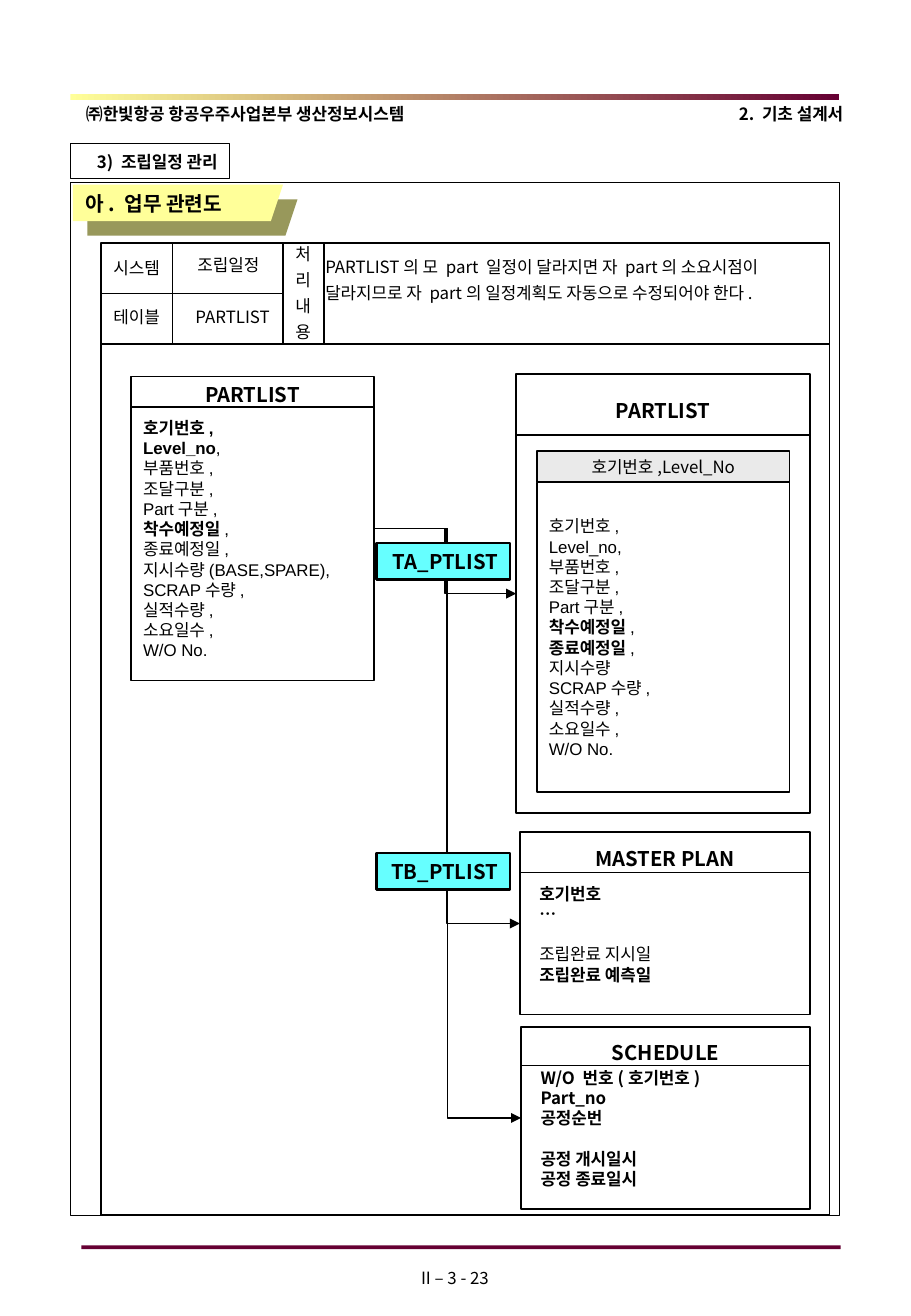
from lxml.etree import SubElement
from pptx import Presentation
from pptx.dml.color import RGBColor
from pptx.enum.shapes import MSO_CONNECTOR, MSO_SHAPE
from pptx.enum.text import MSO_ANCHOR, MSO_AUTO_SIZE, PP_ALIGN
from pptx.oxml.ns import qn
from pptx.util import Inches, Pt

KOREAN = "Noto Sans CJK KR"
LEFT, CENTER, RIGHT = PP_ALIGN.LEFT, PP_ALIGN.CENTER, PP_ALIGN.RIGHT
BLACK = "000000"
MAROON = "660033"
YELLOW = "FFFF99"

SOURCE_FIELDS = [
    ("호기번호,", ""), ("Level_no", ","), ("", "부품번호,"), ("", "조달구분,"),
    ("", "Part구분,"), ("착수예정일", ","), ("", "종료예정일,"),
    ("", "지시수량(BASE,SPARE),"), ("", "SCRAP수량,"), ("", "실적수량,"),
    ("", "소요일수,"), ("", "W/O No."),
]
TARGET_FIELDS = [
    ("", "호기번호,"), ("", "Level_no,"), *SOURCE_FIELDS[2:6],
    ("종료예정일", ","), ("", "지시수량"), *SOURCE_FIELDS[8:],
]
MASTER_FIELDS = [
    ("호기번호", ""), ("…", ""), ("", "조립완료 지시일", 12), ("조립완료 예측일", ""),
]
SCHEDULE_FIELDS = [
    ("W/O 번호(호기번호)", ""), ("Part_no", ""), ("공정순번", ""),
    ("공정 개시일시", "", 12), ("공정 종료일시", ""),
]


def color(value):
    """Turn a hex string into a colour."""
    return RGBColor.from_string(value)


def assign(target, values):
    """Set each attribute of the target from a dict."""
    for name, value in values.items():
        setattr(target, name, value)


def write(shape, lines, size=10, align=LEFT, pitch=12, font=KOREAN,
          anchor=MSO_ANCHOR.TOP, wrap=True, left=0.1, top=0.05):
    """Fill a shape with lines of bold and plain text."""
    frame = shape.text_frame
    assign(frame, {
        "auto_size": MSO_AUTO_SIZE.NONE, "word_wrap": wrap, "vertical_anchor": anchor,
        "margin_left": Inches(left), "margin_right": Inches(0.1),
        "margin_top": Inches(top), "margin_bottom": Inches(0.05),
    })
    for index, (bold, plain, *gap) in enumerate(lines):
        para = frame.add_paragraph() if index else frame.paragraphs[0]
        assign(para, {"alignment": align, "line_spacing": Pt(pitch),
                      "space_before": Pt(sum(gap))})
        for text, heavy in ((bold, True), (plain, False)):
            if text:
                span = para.add_run()
                span.text = text
                assign(span.font, {"name": font, "size": Pt(size), "bold": heavy})
                span.font.color.rgb = color(BLACK)
                SubElement(span.font._element, qn("a:ea")).set("typeface", KOREAN)


def label(page, box, lines, **style):
    """Add a text box."""
    shape = page.shapes.add_textbox(*map(Inches, box))
    write(shape, lines, **style)


def paint(shape, fill=None, weight=0):
    """Give a shape its fill and outline without a shadow."""
    shape.shadow.inherit = False
    if fill:
        shape.fill.solid()
        shape.fill.fore_color.rgb = color(fill)
    else:
        shape.fill.background()
    if weight:
        shape.line.color.rgb = color(BLACK)
        shape.line.width = Pt(weight)
    else:
        shape.line.fill.background()


def block(page, box, fill=None, weight=0):
    """Add a rectangle."""
    shape = page.shapes.add_shape(MSO_SHAPE.RECTANGLE, *map(Inches, box))
    paint(shape, fill, weight)
    return shape


def rule(page, start, end, kind=MSO_CONNECTOR.STRAIGHT):
    """Add a black connector between two points."""
    line = page.shapes.add_connector(kind, *map(Inches, (*start, *end)))
    line.line.color.rgb = color(BLACK)
    line.line.width = Pt(1)
    SubElement(line._element.spPr, qn("a:effectLst"))
    return line


def running_frame(page, box):
    """Draw the page header, section tag, outer frame and footer."""
    left, top, width, height = box
    block(page, (left, top + 0.73, width, height - 0.98), weight=0.25)
    bar = block(page, (left, top, width, 0.05), YELLOW)
    bar.fill.gradient()
    bar.fill.gradient_angle = 0
    for stop, shade in zip(bar.fill.gradient_stops, (YELLOW, MAROON)):
        stop.color.rgb = color(shade)
    block(page, (left + 0.09, top + height, 6.25, 0.03), MAROON)
    label(page, (left + 0.03, top + 0.02, 3.4, 0.29),
          [("㈜한빛항공 항공우주사업본부 생산정보시스템", "")], pitch=13.2)
    label(page, (left + 4.46, top + 0.02, 2, 0.29), [("2. 기초 설계서", "")],
          align=RIGHT, pitch=13.2)
    label(page, (left + 2.36, top + height + 0.13, 1.61, 0.27),
          [("", "II – 3 - 23")], align=CENTER)
    tag = block(page, (left, top + 0.41, 1.31, 0.29), weight=0.75)
    write(tag, [("3) 조립일정 관리", "")], align=RIGHT, pitch=13.2)


def title_banner(page, box):
    """Draw the slanted banner with its shade and put the title on it."""
    left, top, width, height = box
    for offset, fill in ((0.12, "98985B"), (0, YELLOW)):
        x, y = left + offset, top + offset
        builder = page.shapes.build_freeform(Inches(x), Inches(y), scale=1.0)
        corners = ((x + width, y), (x + width - 0.1, y + height), (x, y + height))
        builder.add_line_segments([tuple(map(Inches, corner)) for corner in corners])
        banner = builder.convert_to_shape()
        paint(banner, fill)
    title = page.shapes.title
    assign(title, dict(zip(("left", "top", "width", "height"), map(Inches, box))))
    write(title, [("아. 업무 관련도", "")], size=12, pitch=14.4)
    banner._element.addnext(title._element)


def summary_grid(page, box):
    """Draw the ruled head with system, table and description."""
    left, top, width, height = box
    bottom, middle, label_end = top + height, top + height / 2, left + 1.5
    for x in (left + 0.59, label_end, left + 1.84):
        rule(page, (x, top), (x, bottom))
    rule(page, (left, middle), (label_end, middle))
    rule(page, (left, bottom), (left + width, bottom))
    cells = [
        (-0.08, 0.02, 0.75, "시스템"), (0.59, 0, 0.92, "조립일정"),
        (-0.08, 0.43, 0.75, "테이블"), (0.5, 0.43, 1.17, "PARTLIST"),
        (1.5, -0.09, 0.33, "처리내용"),
    ]
    for x, y, cell_width, text in cells:
        label(page, (left + x, top + y, cell_width, 0.32), [("", text)],
              align=CENTER, pitch=15.4)
    label(page, (left + 1.75, top + 0.02, 4.33, 0.54), [
        ("", "PARTLIST의 모 part 일정이 달라지면 자 part의 소요시점이"),
        ("", "달라지므로 자 part의 일정계획도 자동으로 수정되어야 한다."),
    ], pitch=15.4)


def panel(page, box, title, title_drop, rule_drop, fields=(), **style):
    """Draw a titled panel with its list of fields and return its frame."""
    left, top, width, _ = box
    frame = block(page, box, weight=1)
    if fields:
        write(frame, fields, anchor=MSO_ANCHOR.MIDDLE, top=0.22, **style)
    rule(page, (left, top + rule_drop), (left + width, top + rule_drop))
    label(page, (left, top + title_drop, width, 0.36), [(title, "")],
          size=12, align=CENTER, pitch=18.6)
    return frame


def key_list(page, box):
    """Draw the grey key strip above the target fields."""
    left, top, width, height = box
    strip = block(page, (left, top, width, 0.26), "EAEAEA", 1)
    write(strip, [("", "호기번호,Level_No")], align=CENTER, anchor=MSO_ANCHOR.MIDDLE)
    body = block(page, (left, top + 0.26, width, height - 0.26), weight=1)
    write(body, TARGET_FIELDS, font="Arial", anchor=MSO_ANCHOR.MIDDLE)


def flow(page, source, target):
    """Join two panels with an elbow arrow."""
    arrow = rule(page, (3.08, 4.35), (4.28, 4.89), MSO_CONNECTOR.ELBOW)
    arrow.begin_connect(source, 3)
    arrow.end_connect(target, 1)
    SubElement(arrow.line._get_or_add_ln(), qn("a:tailEnd")).set("type", "triangle")


def relation_diagram(page, box):
    """Draw the source panel, its targets, the arrows and the trigger tags."""
    left, top, _, _ = box
    source = panel(page, (left, top + 0.02, 2, 2.5), "PARTLIST", -0.06, 0.25,
                   SOURCE_FIELDS, font="Arial")
    targets = [
        panel(page, (left + 3.17, top, 2.42, 3.61), "PARTLIST", 0.09, 0.5),
        panel(page, (left + 3.2, top + 3.77, 2.39, 1.5), "MASTER PLAN", 0.01, 0.33,
              MASTER_FIELDS, left=0.16),
        panel(page, (left + 3.21, top + 5.37, 2.38, 1.5), "SCHEDULE", 0, 0.32,
              SCHEDULE_FIELDS, left=0.16),
    ]
    key_list(page, (left + 3.34, top + 0.63, 2.08, 2.81))
    for target in targets:
        flow(page, source, target)
    for drop, name in ((1.39, "TA_PTLIST"), (3.94, "TB_PTLIST")):
        tag = block(page, (left + 2.02, top + drop, 1.1, 0.3), "66FFFF", 1.5)
        write(tag, [(name, "")], size=12, align=RIGHT, pitch=14.4, wrap=False)


def main():
    """Build and save the slide."""
    deck = Presentation()
    deck.slide_width, deck.slide_height = Inches(7.5), Inches(10.83)
    page = deck.slides.add_slide(deck.slide_layouts[5])
    running_frame(page, (0.58, 0.77, 6.33, 9.48))
    block(page, (0.83, 2, 6, 8), weight=1)
    title_banner(page, (0.6, 1.52, 1.73, 0.3))
    summary_grid(page, (0.83, 2, 6, 0.83))
    relation_diagram(page, (1.08, 3.08, 5.59, 6.87))
    deck.save("out.pptx")


if __name__ == "__main__":
    main()
